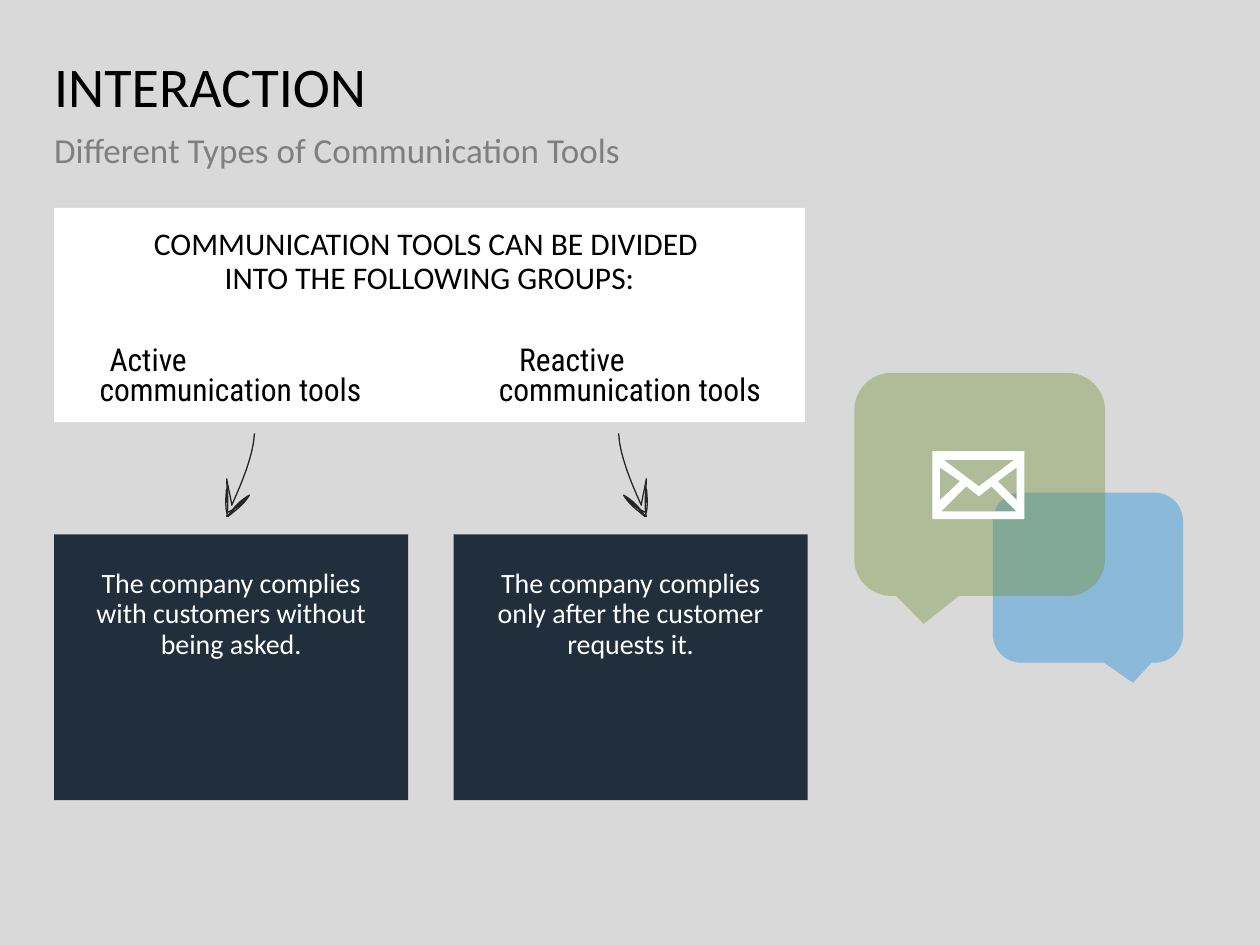
from dataclasses import dataclass

import pptx
import pptx.dml.color
import pptx.enum.shapes
import pptx.enum.text
import pptx.oxml
import pptx.oxml.ns
import pptx.util

Inch = pptx.util.Inches
Align = pptx.enum.text.PP_ALIGN
Anchor = pptx.enum.text.MSO_ANCHOR
Shape = pptx.enum.shapes.MSO_SHAPE


@dataclass(frozen=True)
class Theme:
    back: str = "D9D9D9"
    white: str = "FFFFFF"
    black: str = "000000"
    grey: str = "7F7F7F"
    navy: str = "212E3C"
    ink: str = "262626"
    blue: str = "3498DB"
    green: str = "77933C"
    font: str = "Calibri"
    narrow: str = "Roboto Condensed"
    title: int = 32
    lead: int = 20
    head: int = 18
    body: int = 16


@dataclass(frozen=True)
class Group:
    label: str
    indent: float
    text: str
    flip: bool


@dataclass(frozen=True)
class Bubble:
    box: tuple
    color: str
    alpha: int
    tail: tuple


THEME = Theme()

# Grid: two columns with a gutter, in inches
LEFT, COL, GAP = 0.43, 2.81, 0.36
WIDE = 2 * COL + GAP

GROUPS = [
    Group("Active\vcommunication tools", 0.08,
          "The company complies with customers without being asked.", True),
    Group("Reactive\vcommunication tools", 0.16,
          "The company complies only after the customer requests it.", False),
]
BUBBLES = [
    Bubble((7.88, 3.91, 1.51, 1.35), THEME.blue, 48, (0.237, 0.618, 0.167)),
    Bubble((6.78, 2.96, 1.99, 1.77), THEME.green, 41, (-0.223, 0.625, 0.167)),
]

# Arrow strokes: a start, then two control points and an end for each curve,
# measured from the start of the shaft
ARROW = [
    ((0.01, 0.18), (0.10, 0.39), (0.18, 0.57)),
    ((0.19, 0.50), (0.21, 0.43), (0.22, 0.36)),
    ((0.22, 0.46), (0.20, 0.55), (0.22, 0.66)),
    ((0.16, 0.60), (0.10, 0.54), (0.04, 0.49)),
    ((0.08, 0.56), (0.15, 0.61), (0.21, 0.66)),
    ((0.17, 0.59), (0.11, 0.53), (0.04, 0.49)),
    ((0.09, 0.55), (0.15, 0.60), (0.22, 0.63)),
    ((0.23, 0.58), (0.23, 0.51), (0.22, 0.44)),
    ((0.23, 0.48), (0.22, 0.50), (0.22, 0.55)),
]

# Envelope: the outline, then the four panels cut out of it
MAIL = [
    [(7.40, 3.58), (8.13, 3.58), (8.13, 4.12), (7.40, 4.12)],
    [(7.67, 3.86), (7.47, 4.06), (8.07, 4.06), (7.87, 3.86), (7.77, 3.94)],
    [(7.49, 3.65), (7.77, 3.86), (8.05, 3.65)],
    [(8.07, 3.97), (8.07, 3.71), (7.92, 3.82)],
    [(7.62, 3.82), (7.46, 3.71), (7.46, 3.97)],
]


def rgb(color: str):
    return pptx.dml.color.RGBColor.from_string(color)


def place(shape, box: tuple) -> None:
    shape.left, shape.top, shape.width, shape.height = map(Inch, box)


def write(shape, text: str, *, size: int, color: str, font: str = THEME.font,
          align=Align.LEFT, anchor=Anchor.TOP, inset: tuple = (0, 0, 0, 0),
          line: float = 0.9, after: float = 0, indent: float = 0) -> None:
    frame = shape.text_frame
    frame.auto_size = pptx.enum.text.MSO_AUTO_SIZE.NONE
    frame.word_wrap = True
    frame.vertical_anchor = anchor
    (frame.margin_left, frame.margin_top,
     frame.margin_right, frame.margin_bottom) = map(Inch, inset)
    frame.text = text
    para = frame.paragraphs[0]
    para.alignment = align
    para.line_spacing = line
    para.space_before = pptx.util.Pt(0)
    para.space_after = pptx.util.Pt(after)
    if indent:
        para._p.get_or_add_pPr().set("indent", str(Inch(indent)))
    for run in para.runs:
        run.font.name = font
        run.font.size = pptx.util.Pt(size)
        run.font.color.rgb = rgb(color)


def panel(slide, kind, box: tuple, color: str):
    shape = slide.shapes.add_shape(kind, *map(Inch, box))
    shape.shadow.inherit = False
    shape.fill.solid()
    shape.fill.fore_color.rgb = rgb(color)
    shape.line.fill.background()
    return shape


def label(slide, box: tuple, text: str, **style) -> None:
    write(slide.shapes.add_textbox(*map(Inch, box)), text, **style)


def curve(start: tuple, bends: list, steps: int = 8) -> list:
    """Points along a chain of cubic curves."""
    points = [start]
    for one, two, end in bends:
        first = points[-1]
        for step in range(1, steps + 1):
            t = step / steps
            u = 1 - t
            points.append(tuple(
                u**3 * a + 3 * u * u * t * b + 3 * u * t * t * c + t**3 * d
                for a, b, c, d in zip(first, one, two, end)))
    return points


def outline(slide, paths: list, close: bool):
    paths = [[(Inch(x), Inch(y)) for x, y in path] for path in paths]
    build = slide.shapes.build_freeform(*paths[0][0], scale=1.0)
    for num, path in enumerate(paths):
        if num:
            build.move_to(*path[0])
        build.add_line_segments(path[1:], close=close)
    shape = build.convert_to_shape()
    shape.shadow.inherit = False
    return shape


def arrow(slide, x: float, y: float, flip: bool) -> None:
    side = -1 if flip else 1
    points = [(x + side * dx, y + dy) for dx, dy in curve((0, 0), ARROW)]
    shape = outline(slide, [points], close=False)
    shape.fill.background()
    shape.line.color.rgb = rgb(THEME.ink)
    shape.line.width = pptx.util.Pt(0.75)


def bubble(slide, item: Bubble) -> None:
    shape = panel(slide, Shape.ROUNDED_RECTANGULAR_CALLOUT, item.box, item.color)
    for num, value in enumerate(item.tail):
        shape.adjustments[num] = value
    tint = shape._element.spPr.find(".//" + pptx.oxml.ns.qn("a:srgbClr"))
    tint.append(pptx.oxml.parse_xml(
        f'<a:alpha {pptx.oxml.ns.nsdecls("a")} val="{item.alpha * 1000}"/>'))


def main() -> None:
    deck = pptx.Presentation()
    deck.slide_width, deck.slide_height = Inch(10), Inch(7.5)
    slide = deck.slides.add_slide(deck.slide_layouts[5])
    slide.background.fill.solid()
    slide.background.fill.fore_color.rgb = rgb(THEME.back)

    # Title and subtitle
    title = slide.shapes.title
    place(title, (LEFT, 0.47, WIDE, 0.59))
    write(title, "INTERACTION", size=THEME.title, color=THEME.black)
    label(slide, (LEFT, 1.06, WIDE, 0.59), "Different Types of Communication Tools",
          size=THEME.lead, color=THEME.grey, after=10)

    # Heading panel
    head = panel(slide, Shape.RECTANGLE, (LEFT, 1.65, WIDE - 0.02, 1.7), THEME.white)
    write(head, "COMMUNICATION TOOLS CAN BE DIVIDED \vINTO THE FOLLOWING GROUPS:",
          size=THEME.head, color=THEME.black, align=Align.CENTER,
          inset=(0, 0.16, 0, 0), after=10)

    # One column per group: label, arrow, description
    for num, group in enumerate(GROUPS):
        x = LEFT + num * (COL + GAP)
        label(slide, (x, 2.51, COL, 0.85), group.label, size=THEME.head,
              color=THEME.black, font=THEME.narrow, anchor=Anchor.MIDDLE,
              inset=(0.36, 0.28, 0.16, 0.16), line=0.8, after=10,
              indent=group.indent)
        arrow(slide, 2.02 if group.flip else 4.91, 3.44, group.flip)
        card = panel(slide, Shape.RECTANGLE, (x, 4.24, COL, 2.11), THEME.navy)
        write(card, group.text, size=THEME.body, color=THEME.white,
              align=Align.CENTER, inset=(0.28,) * 4, after=6)

    # Speech bubbles with an envelope
    for item in BUBBLES:
        bubble(slide, item)
    mail = outline(slide, MAIL, close=True)
    mail.fill.solid()
    mail.fill.fore_color.rgb = rgb(THEME.white)
    mail.line.fill.background()

    deck.save("out.pptx")


if __name__ == "__main__":
    main()
